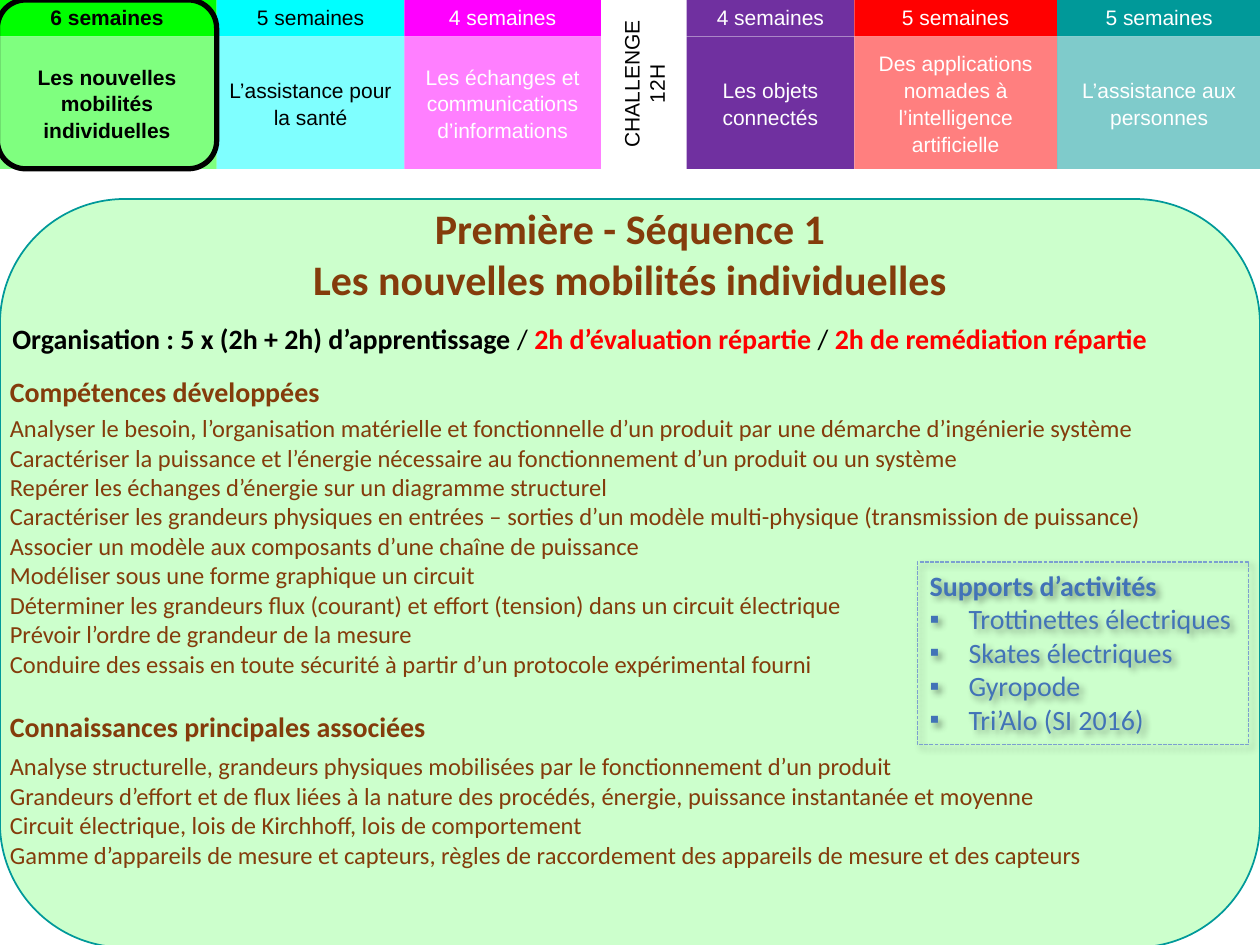
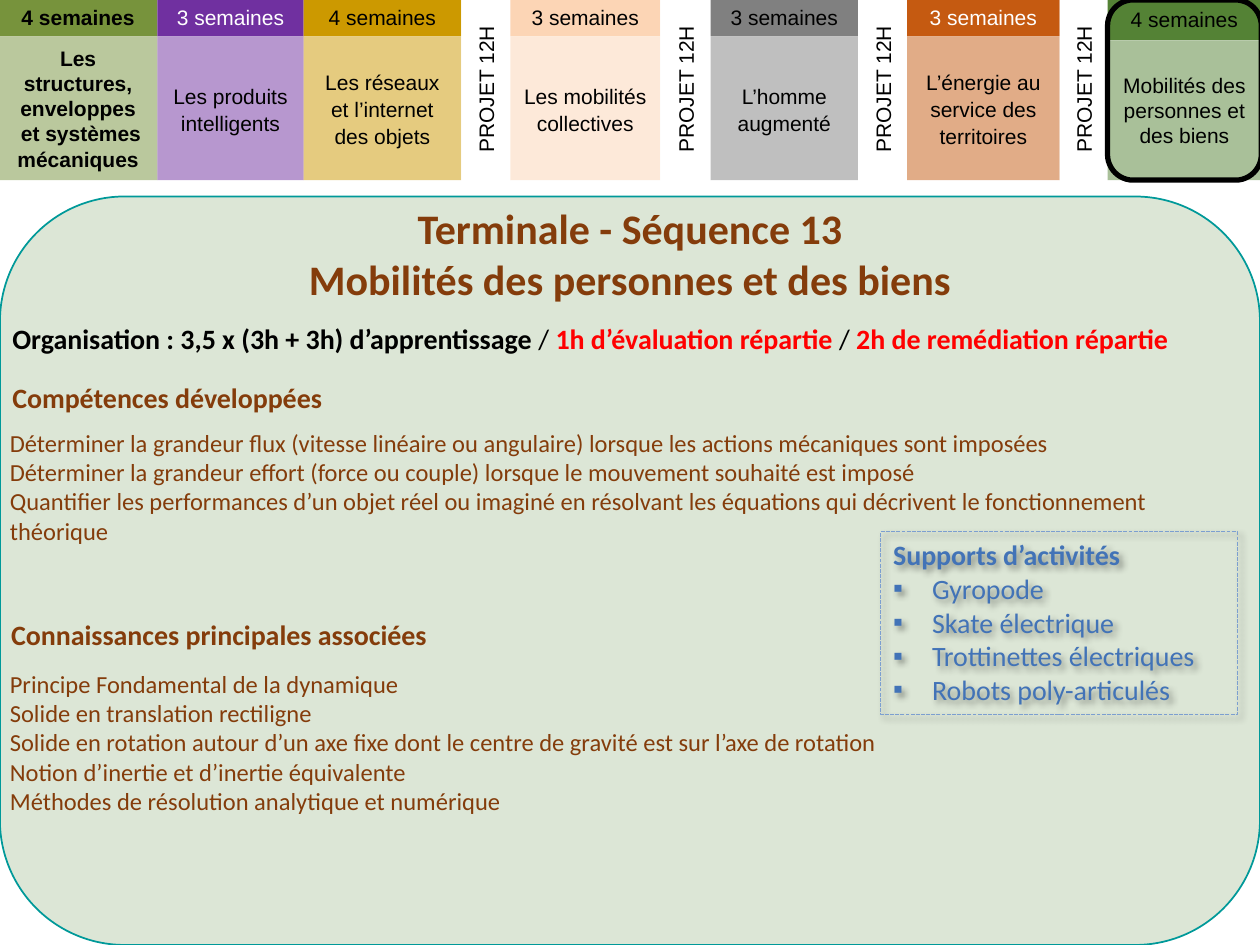
from dataclasses import dataclass

from lxml.etree import SubElement
from pptx import Presentation
from pptx.dml.color import RGBColor
from pptx.enum.dml import MSO_LINE
from pptx.enum.shapes import MSO_SHAPE as Shape
from pptx.enum.text import MSO_ANCHOR as Anchor, MSO_AUTO_SIZE as AutoSize, PP_ALIGN as Align
from pptx.oxml.ns import qn
from pptx.util import Inches, Pt

COLOURS = {
    "black": "000000", "white": "FFFFFF", "red": "FF0000", "brown": "843C0B",
    "teal": "009999", "green": "00FF00", "cyan": "00FFFF", "magenta": "FF00FF",
    "purple": "7030A0", "olive": "77933C", "gold": "CC9900", "peach": "FCD5B5",
    "grey": "808080", "rust": "C55A11", "forest": "548235",
    "blue": "4273B7", "pale blue": "7C9FD0",
}

# Text styles
TITLE = {"name": "Calibri", "size": 24, "bold": True, "color": "brown"}
HEADING = {**TITLE, "size": 16}
BODY = {**TITLE, "size": 14, "bold": False}
PLAN = {**HEADING, "color": "black"}
SLASH = {**PLAN, "bold": False}
PLAN_RED = {**PLAN, "color": "red"}
SUPPORT_HEAD = {**HEADING, "color": "blue"}
SUPPORT = {**SUPPORT_HEAD, "bold": False}
CELL = {"name": "Arial", "size": 12, "bold": False, "color": "black"}


@dataclass
class Column:
    """One column of the timeline; without weeks it is a project break."""
    width: float
    topic: str
    weeks: str = ""
    fill: str = "white"
    weeks_ink: str = "black"
    topic_ink: str = "black"
    bold: bool = False
    header: float = 0.3
    opacity: int = 50
    spacing: float = 1.07


class SequenceDeck:
    """Holds the style and the current slide."""

    def __init__(self):
        self.deck = Presentation()
        self.deck.slide_width, self.deck.slide_height = Inches(10), Inches(7.5)
        self.page = None

    def new_page(self):
        self.page = self.deck.slides.add_slide(self.deck.slide_layouts[5])

    def colour(self, name):
        return RGBColor.from_string(COLOURS[name])

    def fill_text(self, box, paras, align=Align.LEFT, anchor=Anchor.TOP, spacing=1.0, side=0.1):
        """Each paragraph is a list of (text, style) pairs."""
        frame = box.text_frame
        settings = {"word_wrap": True, "auto_size": AutoSize.NONE, "vertical_anchor": anchor,
                    "margin_left": Inches(side), "margin_right": Inches(side),
                    "margin_top": Inches(0.05), "margin_bottom": Inches(0.05)}
        for key, value in settings.items():
            setattr(frame, key, value)
        for index, spans in enumerate(paras):
            para = frame.add_paragraph() if index else frame.paragraphs[0]
            para.alignment, para.line_spacing = align, spacing
            for text, style in spans:
                span = para.add_run()
                span.text = text
                for key, value in style.items():
                    if key == "color":
                        span.font.color.rgb = self.colour(value)
                    else:
                        setattr(span.font, key, Pt(value) if key == "size" else value)

    def shape(self, kind, place, fill=None, opacity=100, line=None, weight=1, group=None):
        parent = group or self.page
        box = parent.shapes.add_shape(kind, *map(Inches, place))
        box.shadow.inherit = False
        if fill:
            box.fill.solid()
            box.fill.fore_color.rgb = self.colour(fill)
            if opacity < 100:
                tint = box.element.spPr.find(qn("a:solidFill"))[0]
                SubElement(tint, qn("a:alpha"), val=str(opacity * 1000))
        else:
            box.fill.background()
        if line:
            box.line.color.rgb = self.colour(line)
            box.line.width = Pt(weight)
        else:
            box.line.fill.background()
        return box

    def text(self, place, paras, **layout):
        box = self.page.shapes.add_textbox(*map(Inches, place))
        self.fill_text(box, paras, **layout)

    def timeline(self, left, bottom, columns, current):
        """Draw the columns side by side and frame the current one."""
        group = self.page.shapes.add_group_shape()
        top = -0.01
        layout = {"align": Align.CENTER, "anchor": Anchor.MIDDLE, "side": 0.09}
        for column in columns:
            style = {**CELL, "bold": column.bold}
            split = top + column.header if column.weeks else top
            cell = self.shape(Shape.RECTANGLE, (left, split, column.width, bottom - split),
                              column.fill, column.opacity, group=group)
            topic = [[(line, {**style, "color": column.topic_ink})]
                     for line in column.topic.split("\n")]
            if column.weeks:
                self.fill_text(cell, topic, spacing=column.spacing, **layout)
                head = self.shape(Shape.RECTANGLE, (left, top, column.width, column.header),
                                  column.fill, group=group)
                weeks = [[(column.weeks, {**style, "color": column.weeks_ink})]]
                self.fill_text(head, weeks, **layout)
            else:
                self.fill_text(cell, topic, **layout)
                cell.element.find(".//" + qn("a:bodyPr")).set("vert", "vert270")
            if column is columns[current]:
                frame = (left, 0, column.width, bottom)
            left += column.width
        self.shape(Shape.ROUNDED_RECTANGLE, frame, line="black", weight=3)

    def panel(self, top, fill):
        self.shape(Shape.ROUNDED_RECTANGLE, (0, top, 10, 5.94), fill, 20, line="teal")

    def title(self, lines):
        title = self.page.shapes.title
        # Bring the title in front of the panel
        title.element.getparent().append(title.element)
        for key, value in zip(("left", "top", "width", "height"), (0, 1.56, 10, 0.91)):
            setattr(title, key, Inches(value))
        self.fill_text(title, [[(line, TITLE)] for line in lines], align=Align.CENTER)

    def organisation(self, lessons, test):
        self.text((0, 2.5, 10, 0.37), [[
            (f"Organisation : {lessons} d’apprentissage ", PLAN), ("/ ", SLASH),
            (f"{test} d’évaluation répartie ", PLAN_RED), ("/ ", SLASH),
            ("2h de remédiation répartie", PLAN_RED)]], anchor=Anchor.MIDDLE)

    def section(self, heading, left, top, body_top, body_height, lines):
        self.text((left, top, 10, 0.37), [[(heading, HEADING)]])
        self.text((-0.02, body_top, 10, body_height), [[(line, BODY)] for line in lines],
                  anchor=Anchor.MIDDLE)

    def supports(self, left, top, width, items):
        box = self.shape(Shape.RECTANGLE, (left, top, width, 1.45), line="pale blue", weight=0.75)
        box.line.dash_style = MSO_LINE.SQUARE_DOT
        self.fill_text(box, [[("Supports d’activités", SUPPORT_HEAD)]]
                       + [[(item, SUPPORT)] for item in items])
        # Square bullets
        for item in list(box.element.iter(qn("a:p")))[1:]:
            props = item.get_or_add_pPr()
            props.set("marL", str(Inches(0.31)))
            props.set("indent", str(-Inches(0.31)))
            SubElement(props, qn("a:buFont"), typeface="Arial")
            SubElement(props, qn("a:buChar"), char="▪")
        # Soft shadow, which falls on the text
        effects = box.element.spPr.find(qn("a:effectLst"))
        shadow = SubElement(effects, qn("a:outerShdw"), blurRad=str(Pt(4)), dist=str(Pt(3)),
                            dir=str(45 * 60000), algn="tl", rotWithShape="0")
        tint = SubElement(shadow, qn("a:srgbClr"), val=COLOURS["black"])
        SubElement(tint, qn("a:alpha"), val="40000")


SKILLS, KNOWLEDGE = "Compétences développées", "Connaissances principales associées"
LIGHT = {"weeks_ink": "white", "topic_ink": "white"}

PREMIERE = [
    Column(1.74, "Les nouvelles mobilités individuelles", "6 semaines", "green", bold=True),
    Column(1.49, "L’assistance pour la santé", "5 semaines", "cyan"),
    Column(1.56, "Les échanges et communications d’informations", "4 semaines", "magenta", **LIGHT),
    Column(0.68, "CHALLENGE 12H"),
    Column(1.33, "Les objets connectés", "4 semaines", "purple", opacity=100, **LIGHT),
    Column(1.61, "Des applications nomades à l’intelligence artificielle", "5 semaines", "red", **LIGHT),
    Column(1.62, "L’assistance aux personnes", "5 semaines", "teal", **LIGHT),
]

TERMINALE = [
    Column(1.26, "Les structures, enveloppes\n et systèmes mécaniques", "4 semaines", "olive",
           bold=True, spacing=1.0),
    Column(1.16, "Les produits intelligents", "3 semaines", "purple", "white"),
    Column(1.25, "Les réseaux et l’internet des objets", "4 semaines", "gold"),
    Column(0.39, "PROJET 12H"),
    Column(1.19, "Les mobilités collectives", "3 semaines", "peach"),
    Column(0.4, "PROJET 12H"),
    Column(1.17, "L’homme augmenté", "3 semaines", "grey"),
    Column(0.39, "PROJET 12H"),
    Column(1.21, "L’énergie au service des territoires", "3 semaines", "rust", "white"),
    Column(0.38, "PROJET 12H"),
    Column(1.22, "Mobilités des personnes et des biens", "4 semaines", "forest",
           header=0.33, spacing=1.0),
]


def first_sequence(deck):
    deck.new_page()
    deck.panel(1.58, "green")
    deck.title(["Première - Séquence 1", "Les nouvelles mobilités individuelles"])
    deck.organisation("5 x (2h + 2h)", "2h")
    deck.section(SKILLS, -0.02, 2.92, 3.22, 2.22, [
        "Analyser le besoin, l’organisation matérielle et fonctionnelle d’un produit par une démarche d’ingénierie système",
        "Caractériser la puissance et l’énergie nécessaire au fonctionnement d’un produit ou un système",
        "Repérer les échanges d’énergie sur un diagramme structurel",
        "Caractériser les grandeurs physiques en entrées – sorties d’un modèle multi-physique (transmission de puissance)",
        "Associer un modèle aux composants d’une chaîne de puissance",
        "Modéliser sous une forme graphique un circuit",
        "Déterminer les grandeurs flux (courant) et effort (tension) dans un circuit électrique",
        "Prévoir l’ordre de grandeur de la mesure",
        "Conduire des essais en toute sécurité à partir d’un protocole expérimental fourni",
    ])
    deck.section(KNOWLEDGE, -0.02, 5.58, 5.91, 1.04, [
        "Analyse structurelle, grandeurs physiques mobilisées par le fonctionnement d’un produit",
        "Grandeurs d’effort et de flux liées à la nature des procédés, énergie, puissance instantanée et moyenne",
        "Circuit électrique, lois de Kirchhoff, lois de comportement",
        "Gamme d’appareils de mesure et capteurs, règles de raccordement des appareils de mesure et des capteurs",
    ])
    deck.timeline(-0.02, 1.34, PREMIERE, current=0)
    deck.supports(7.28, 4.46, 2.63, [
        "Trottinettes électriques", "Skates électriques", "Gyropode", "Tri’Alo (SI 2016)"])


def last_sequence(deck):
    deck.new_page()
    deck.panel(1.56, "forest")
    deck.title(["Terminale - Séquence 13", "Mobilités des personnes et des biens"])
    deck.organisation("3,5 x (3h + 3h)", "1h")
    deck.section(SKILLS, 0, 2.97, 3.34, 1.04, [
        "Déterminer la grandeur flux (vitesse linéaire ou angulaire) lorsque les actions mécaniques sont imposées",
        "Déterminer la grandeur effort (force ou couple) lorsque le mouvement souhaité est imposé",
        "Quantifier les performances d’un objet réel ou imaginé en résolvant les équations qui décrivent le fonctionnement théorique",
    ])
    deck.section(KNOWLEDGE, -0.01, 4.85, 5.25, 1.28, [
        "Principe Fondamental de la dynamique",
        "Solide en translation rectiligne",
        "Solide en rotation autour d’un axe fixe dont le centre de gravité est sur l’axe de rotation",
        "Notion d’inertie et d’inertie équivalente",
        "Méthodes de résolution analytique et numérique",
    ])
    deck.timeline(-0.01, 1.43, TERMINALE, current=-1)
    deck.supports(6.99, 4.22, 2.83, [
        "Gyropode", "Skate électrique", "Trottinettes électriques", "Robots poly-articulés"])


def main():
    deck = SequenceDeck()
    first_sequence(deck)
    last_sequence(deck)
    deck.deck.save("out.pptx")


if __name__ == "__main__":
    main()
